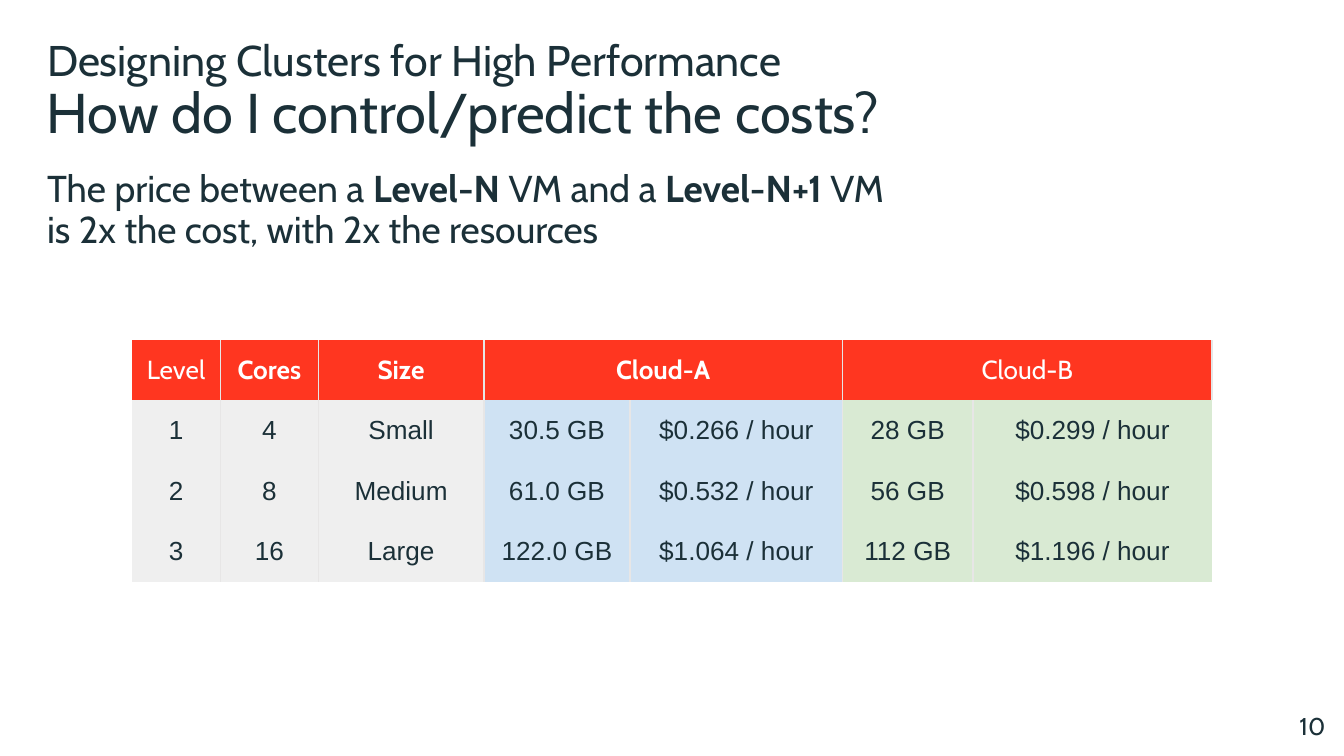
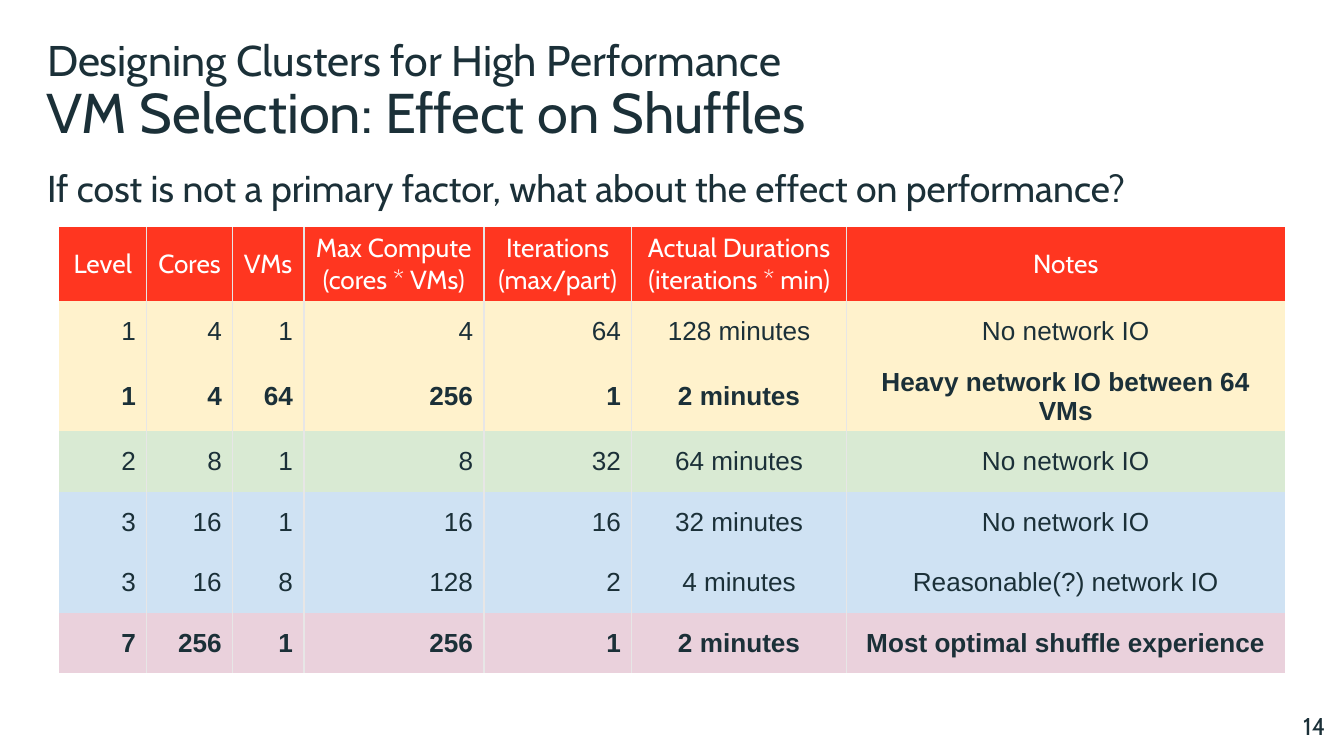
from lxml.etree import SubElement
from pptx import Presentation
from pptx.dml.color import RGBColor
from pptx.enum.text import MSO_ANCHOR, MSO_AUTO_SIZE, PP_ALIGN
from pptx.oxml.ns import qn
from pptx.util import Inches, Pt

INK = RGBColor(0x1B, 0x30, 0x38)
WHITE = RGBColor(0xFF, 0xFF, 0xFF)
RED = RGBColor(0xFF, 0x36, 0x20)
RULE = RGBColor(0xE7, 0xE6, 0xE6)
GREY = RGBColor(0xEF, 0xEF, 0xEF)
BLUE = RGBColor(0xCF, 0xE2, 0xF3)
GREEN = RGBColor(0xD9, 0xEA, 0xD3)
YELLOW = RGBColor(0xFF, 0xF2, 0xCC)
PINK = RGBColor(0xEA, 0xD1, 0xDC)

HEADING_FONT, CELL_FONT = "Cabin", "Arial"
DECK_TITLE = "Designing Clusters for High Performance"
TITLE_BOX = (0, 0.25, 10, 0.5)
SUBTITLE_BOX = (0, 0.58, 10, 0.5)
NUMBER_BOX = (9.36, 5.19, 0.6, 0.43)
ROW_HEIGHT = 0.45
LEFT, CENTER, RIGHT = PP_ALIGN.LEFT, PP_ALIGN.CENTER, PP_ALIGN.RIGHT


# Text
def add_run(paragraph, text, size, font=HEADING_FONT, color=INK, bold=False):
    """Add text to a paragraph; a vertical tab marks a line break."""
    for i, line in enumerate(text.split("\v")):
        if i:
            paragraph.add_line_break()
        run = paragraph.add_run()
        run.text = line
        run.font.size, run.font.name = Pt(size), font
        run.font.color.rgb, run.font.bold = color, bold


def fill_text_box(shape, box, runs, size, insets, align=LEFT, spacing=1.0):
    shape.left, shape.top, shape.width, shape.height = map(Inches, box)
    frame = shape.text_frame
    frame.word_wrap, frame.auto_size = True, MSO_AUTO_SIZE.NONE
    frame.vertical_anchor = MSO_ANCHOR.TOP
    (frame.margin_left, frame.margin_top,
     frame.margin_right, frame.margin_bottom) = map(Inches, insets)
    paragraph = frame.paragraphs[0]
    paragraph.alignment, paragraph.line_spacing = align, spacing
    for text, bold in runs:
        add_run(paragraph, text, size, bold=bold)


def add_text(slide, box, *args, **kwargs):
    shape = slide.shapes.add_textbox(*map(Inches, box))
    fill_text_box(shape, box, *args, **kwargs)


# Title, subtitle, lead sentence and slide number
def add_topic_slide(deck, topic, lead, lead_box, number):
    slide = deck.slides.add_slide(deck.slide_layouts[5])
    title_insets = (0.35, 0, 0, 0)
    fill_text_box(slide.shapes.title, TITLE_BOX, [(DECK_TITLE, False)], 23, title_insets)
    add_text(slide, SUBTITLE_BOX, [(topic, False)], 30, title_insets)
    add_text(slide, lead_box, lead, 20, (0, 0.04, 0, 0.04), spacing=0.9)
    add_text(slide, NUMBER_BOX, [(number, False)], 13, (0.1,) * 4, align=RIGHT)
    return slide


# Tables
def set_cell_borders(cell, ruled_sides):
    """Rule the given sides of a cell and leave the others open."""
    properties = cell._tc.get_or_add_tcPr()
    for i, side in enumerate("LRTB"):
        line = SubElement(properties, qn("a:ln" + side), w=str(Pt(1)))
        if side in ruled_sides:
            solid = SubElement(line, qn("a:solidFill"))
            SubElement(solid, qn("a:srgbClr"), val=str(RULE))
        else:
            SubElement(line, qn("a:noFill"))
        properties.insert(i, line)


def format_cell(cell, text, fill, align, **style):
    cell.fill.solid()
    cell.fill.fore_color.rgb = fill
    cell.vertical_anchor = MSO_ANCHOR.MIDDLE
    cell.margin_left = cell.margin_right = Inches(0.08)
    cell.margin_top = cell.margin_bottom = Inches(0.04)
    frame = cell.text_frame
    for i, line in enumerate(text.split("\n")):
        paragraph = frame.add_paragraph() if i else frame.paragraphs[0]
        paragraph.alignment = align
        if line:
            add_run(paragraph, line, 14, **style)


def add_data_table(slide, left, top, widths, header, rows, fill_at, aligns,
                   bold_columns=(), bold_rows=()):
    frame = slide.shapes.add_table(
        len(rows) + 1, len(widths), Inches(left), Inches(top),
        Inches(sum(widths)), Inches(ROW_HEIGHT * (len(rows) + 1)))
    table = frame.table
    table.horz_banding = False
    for column, width in zip(table.columns, widths):
        column.width = Inches(width)
    for c, text in enumerate(header):
        format_cell(table.cell(0, c), text, RED, CENTER,
                    color=WHITE, bold=c in bold_columns)
    for r, row in enumerate(rows):
        for c, text in enumerate(row):
            format_cell(table.cell(r + 1, c), text, fill_at(r, c), aligns[c],
                        font=CELL_FONT, bold=r in bold_rows)
    # Rules run between the columns only
    last = len(widths) - 1
    for row in table.rows:
        row.height = Inches(ROW_HEIGHT)
        for c, cell in enumerate(row.cells):
            set_cell_borders(cell, "L" * (c > 0) + "R" * (c < last))
    return table


# Slide: cost by level
def build_cost_slide(deck):
    lead = [("The price between a ", False), ("Level-N ", True), ("VM and a ", False),
            ("Level-N+1", True), (" VM\vis 2x the cost, with 2x the resources", False)]
    slide = add_topic_slide(deck, "How do I control/predict the costs?", lead,
                            (0.35, 1.23, 9.65, 0.68), "10")
    column_fills = [GREY] * 3 + [BLUE] * 2 + [GREEN] * 2
    prices = add_data_table(
        slide, 0.98, 2.53, [0.66, 0.73, 1.23, 1.09, 1.58, 0.97, 1.78],
        ["Level", "Cores", "Size", "Cloud-A", "", "Cloud-B", ""],
        [["1", "4", "Small", "30.5 GB", "$0.266 / hour", "28 GB", "$0.299 / hour"],
         ["2", "8", "Medium", "61.0 GB", "$0.532 / hour", "56 GB", "$0.598 / hour"],
         ["3", "16", "Large", "122.0 GB", "$1.064 / hour", "112 GB", "$1.196 / hour"]],
        lambda r, c: column_fills[c], [CENTER] * 7, bold_columns=(1, 2, 3))
    for first in (3, 5):
        prices.cell(0, first).merge(prices.cell(0, first + 1))


# Slide: shuffle performance by level
def build_shuffle_slide(deck):
    lead = "If cost is not a primary factor, what about the effect on performance?"
    slide = add_topic_slide(deck, "VM Selection: Effect on Shuffles", [(lead, False)],
                            (0.35, 1.23, 9.65, 4.18), "14")
    row_fills = [YELLOW, YELLOW, GREEN, BLUE, BLUE, PINK]
    add_data_table(
        slide, 0.44, 1.69, [0.65, 0.64, 0.53, 1.34, 1.1, 1.6, 3.26],
        ["Level", "Cores", "VMs", "Max Compute\v(cores * VMs)",
         "Iterations\v(max/part)", "Actual Durations\n(iterations * min)", "Notes"],
        [["1", "4", "1", "4", "64", "128 minutes", "No network IO"],
         ["1", "4", "64", "256", "1", "2 minutes", "Heavy network IO between 64 VMs"],
         ["2", "8", "1", "8", "32", "64 minutes", "No network IO"],
         ["3", "16", "1", "16", "16", "32 minutes", "No network IO"],
         ["3", "16", "8", "128", "2", "4 minutes", "Reasonable(?) network IO"],
         ["7", "256", "1", "256", "1", "2 minutes", "Most optimal shuffle experience"]],
        lambda r, c: row_fills[r], [RIGHT] * 5 + [CENTER] * 2, bold_rows=(1, 5))


def main():
    deck = Presentation()
    # Widescreen, 16:9
    deck.slide_width = Inches(10)
    deck.slide_height = deck.slide_width * 9 // 16
    build_cost_slide(deck)
    build_shuffle_slide(deck)
    deck.save("out.pptx")


if __name__ == "__main__":
    main()
